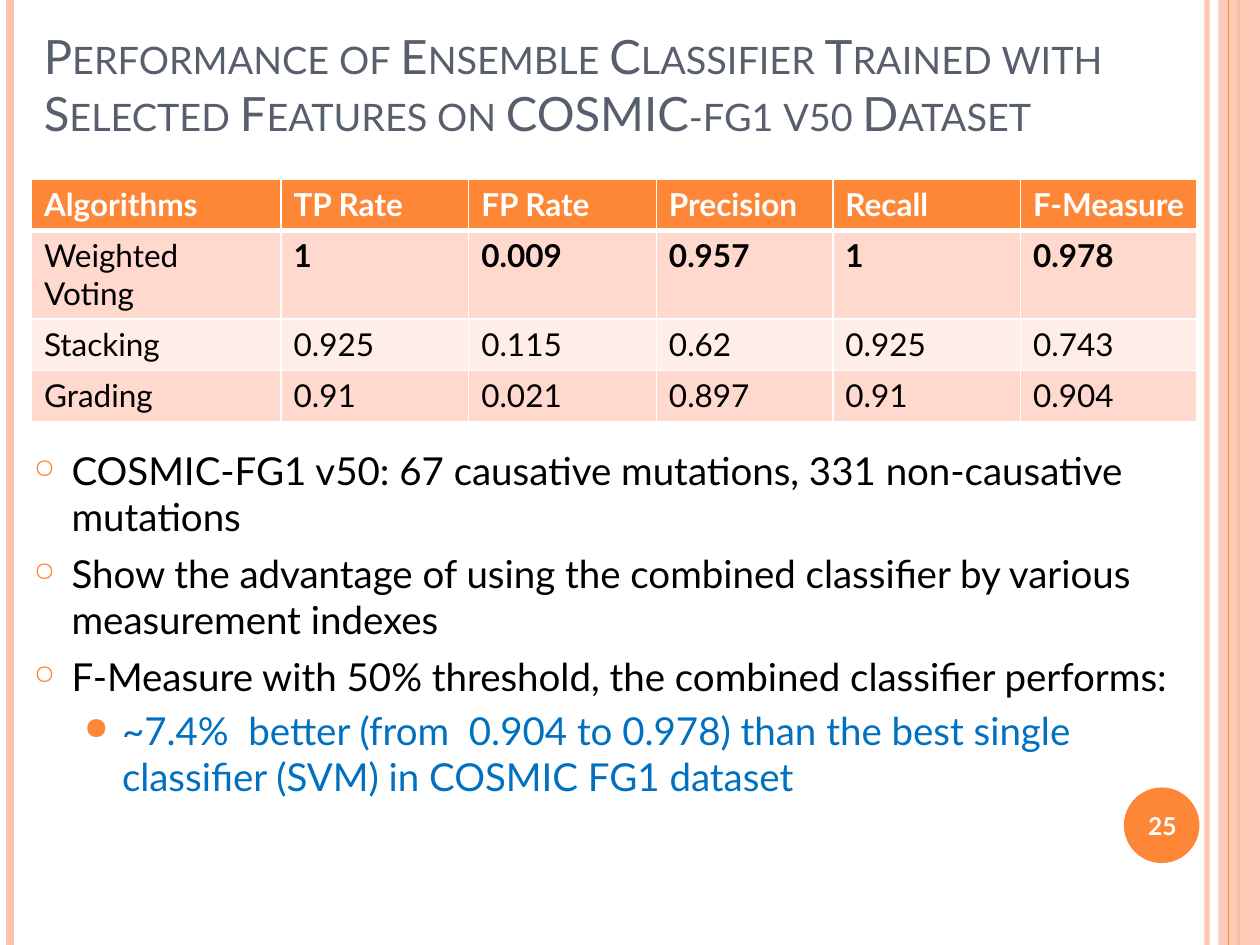
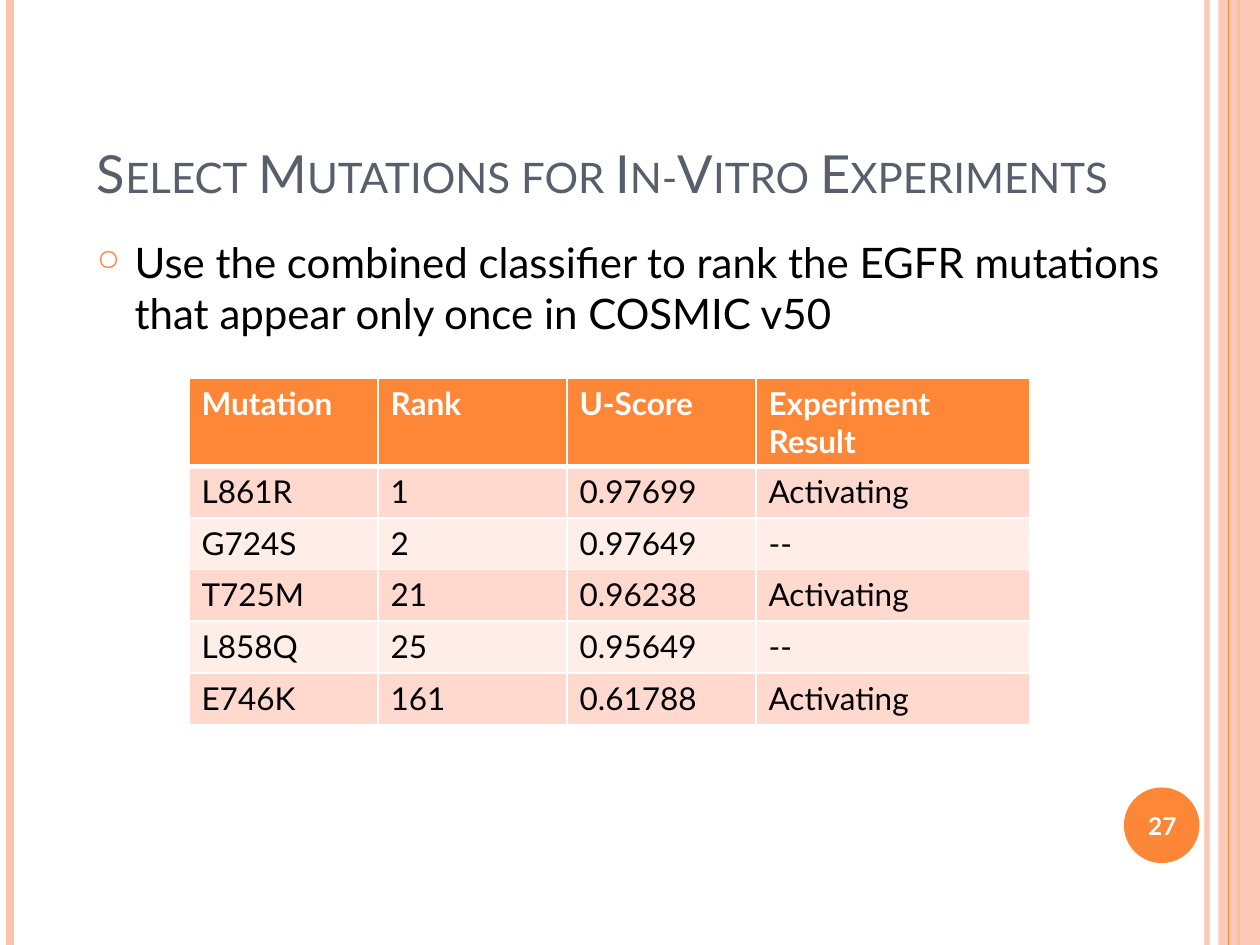
from lxml import etree
from pptx import Presentation
from pptx.dml.color import RGBColor
from pptx.enum.shapes import MSO_CONNECTOR, MSO_SHAPE
from pptx.enum.text import MSO_ANCHOR, PP_ALIGN
from pptx.oxml.ns import qn
from pptx.util import Inches, Pt

STRAIGHT = MSO_CONNECTOR.STRAIGHT
RECT, OVAL = MSO_SHAPE.RECTANGLE, MSO_SHAPE.OVAL
TOP, MIDDLE, BOTTOM = MSO_ANCHOR.TOP, MSO_ANCHOR.MIDDLE, MSO_ANCHOR.BOTTOM
CENTER = PP_ALIGN.CENTER

FONT = "Lato"
WIDTH, HEIGHT = 10, 7.5
ROW_HEIGHT = 0.41
COLORS = {
    "orange": "FE8637",
    "peach": "FEC3AE",
    "title": "575F6D",
    "text": "000000",
    "white": "FFFFFF",
    "blue": "0070C0",
    "band_dark": "FFD9CE",
    "band_light": "FFEDE8",
}
# Bullet levels: character, size in percent, left indent, space before
LEVELS = [("○", 70, 0.3, 6), ("●", 80, 0.7, 4.4)]
HANGING = 0.3


def rgb(name):
    return RGBColor.from_string(COLORS[name])


def sub(parent, tag, **attrs):
    return etree.SubElement(parent, qn(tag), attrs)


def set_alpha(shape, percent):
    """Make the first colour of a shape partly transparent."""
    clr = next(shape._element.spPr.iter(qn("a:srgbClr")))
    sub(clr, "a:alpha", val=str(percent * 1000))


def set_font(p, size, color, bold=False):
    p.font.name = FONT
    p.font.size = Pt(size)
    p.font.bold = bold
    p.font.color.rgb = rgb(color)


def add_vertical_line(s, x, color, width):
    line = s.shapes.add_connector(STRAIGHT, Inches(x), 0, Inches(x), Inches(HEIGHT))
    line.line.color.rgb = rgb(color)
    line.line.width = Pt(width)
    sub(line._element.spPr, "a:effectLst")
    return line


def add_filled_shape(s, kind, x, y, w, h, color):
    shape = s.shapes.add_shape(kind, Inches(x), Inches(y), Inches(w), Inches(h))
    shape.shadow.inherit = False
    shape.fill.solid()
    shape.fill.fore_color.rgb = rgb(color)
    shape.line.fill.background()
    return shape


def add_text_frame(s, x, y, w, h, anchor=TOP):
    box = s.shapes.add_textbox(Inches(x), Inches(y), Inches(w), Inches(h))
    tf = box.text_frame
    tf.word_wrap = True
    tf.vertical_anchor = anchor
    return tf


def add_frame(s, number):
    """Side bands and the page number badge found on every slide."""
    set_alpha(add_vertical_line(s, 9.58, "peach", 3), 93)
    add_vertical_line(s, 0.08, "peach", 4.5)
    add_vertical_line(s, 9.83, "orange", 1.5)
    set_alpha(add_filled_shape(s, RECT, 9.67, 0, 0.33, HEIGHT, "peach"), 87)
    add_vertical_line(s, 9.75, "orange", 0.75)
    add_filled_shape(s, OVAL, 8.92, 6.25, 0.6, 0.6, "orange")
    p = add_text_frame(s, 8.89, 6.27, 0.67, 0.57, MIDDLE).paragraphs[0]
    p.text = str(number)
    p.alignment = CENTER
    set_font(p, 14, "white", bold=True)


def add_title(s, text, x, y, w, h, size):
    p = add_text_frame(s, x, y, w, h, BOTTOM).paragraphs[0]
    p.text = text
    set_font(p, size, "title")
    p._p.pPr.get_or_add_defRPr().set("cap", "small")


def add_bullets(s, items, x, y, w, h, size):
    """Each item is (level, text, colour)."""
    tf = add_text_frame(s, x, y, w, h)
    for i, (level, text, color) in enumerate(items):
        char, percent, indent, space = LEVELS[level]
        p = tf.paragraphs[0] if i == 0 else tf.add_paragraph()
        p.text = text
        p.level = level
        if i:
            p.space_before = Pt(space)
        pPr = p._p.get_or_add_pPr()
        pPr.set("marL", str(Inches(indent)))
        pPr.set("indent", str(-Inches(HANGING)))
        sub(sub(pPr, "a:buClr"), "a:srgbClr", val=COLORS["orange"])
        sub(pPr, "a:buSzPct", val=str(percent * 1000))
        sub(pPr, "a:buChar", char=char)
        set_font(p, size, color)


def set_borders(cell, top, bottom):
    tcPr = cell._tc.get_or_add_tcPr()
    sides = [("a:lnL", 1), ("a:lnR", 1), ("a:lnT", top), ("a:lnB", bottom)]
    for i, (tag, width) in enumerate(sides):
        ln = etree.Element(qn(tag), w=str(Pt(width)))
        sub(sub(ln, "a:solidFill"), "a:srgbClr", val=COLORS["white"])
        tcPr.insert(i, ln)


def add_data_table(s, x, y, col_widths, rows, bold_cells=()):
    """Header row in orange, then alternating bands."""
    frame = s.shapes.add_table(
        len(rows), len(col_widths), Inches(x), Inches(y),
        Inches(sum(col_widths)), Inches(ROW_HEIGHT * len(rows)))
    table = frame.table
    for column, width in zip(table.columns, col_widths):
        column.width = Inches(width)
    for r, values in enumerate(rows):
        table.rows[r].height = Inches(ROW_HEIGHT)
        header = r == 0
        fill = "orange" if header else ("band_light", "band_dark")[r % 2]
        for c, value in enumerate(values):
            cell = table.cell(r, c)
            cell.fill.solid()
            cell.fill.fore_color.rgb = rgb(fill)
            set_borders(cell, 3 if r == 1 else 1, 3 if header else 1)
            p = cell.text_frame.paragraphs[0]
            p.text = value
            set_font(p, 18, "white" if header else "text",
                     header or (r, c) in bold_cells)


def build_performance_slide(s):
    add_frame(s, 25)
    add_title(s, "Performance of Ensemble Classifier Trained with Selected "
              "Features on COSMIC-fg1 v50 Dataset", 0.25, 0.3, 9.25, 0.87, 27)
    add_bullets(s, [
        (0, "COSMIC-FG1 v50: 67 causative mutations, "
            "331 non-causative mutations", "text"),
        (0, "Show the advantage of using the combined classifier by various "
            "measurement indexes", "text"),
        (0, "F-Measure with 50% threshold, the combined classifier performs:",
         "text"),
        (1, "~7.4%  better (from  0.904 to 0.978) than the best single "
            "classifier (SVM) in COSMIC FG1 dataset", "blue"),
    ], 0.17, 3.5, 9.42, 3.08, 22)
    add_data_table(s, 0.25, 1.42, [1.98, 1.49, 1.49, 1.4, 1.49, 1.4], [
        ["Algorithms", "TP Rate", "FP Rate", "Precision", "Recall", "F-Measure"],
        ["Weighted Voting", "1", "0.009", "0.957", "1", "0.978"],
        ["Stacking", "0.925", "0.115", "0.62", "0.925", "0.743"],
        ["Grading", "0.91", "0.021", "0.897", "0.91", "0.904"],
    ], bold_cells=[(1, c) for c in range(1, 6)])


def build_mutations_slide(s):
    add_frame(s, 27)
    add_title(s, "Select Mutations for In-Vitro Experiments",
              0.67, 0.42, 8.5, 1.25, 30)
    add_bullets(s, [
        (0, "Use the combined classifier to rank the EGFR mutations that "
            "appear only once in COSMIC v50", "text"),
    ], 0.67, 1.83, 9.08, 4.75, 24)
    add_data_table(s, 1.5, 3, [1.5, 1.5, 1.5, 2.17], [
        ["Mutation", "Rank", "U-Score", "Experiment Result"],
        ["L861R", "1", "0.97699", "Activating"],
        ["G724S", "2", "0.97649", "--"],
        ["T725M", "21", "0.96238", "Activating"],
        ["L858Q", "25", "0.95649", "--"],
        ["E746K", "161", "0.61788", "Activating"],
    ])


def main():
    prs = Presentation()
    prs.slide_width, prs.slide_height = Inches(WIDTH), Inches(HEIGHT)
    blank = prs.slide_layouts[6]
    for build in (build_performance_slide, build_mutations_slide):
        build(prs.slides.add_slide(blank))
    prs.save("out.pptx")


if __name__ == "__main__":
    main()
